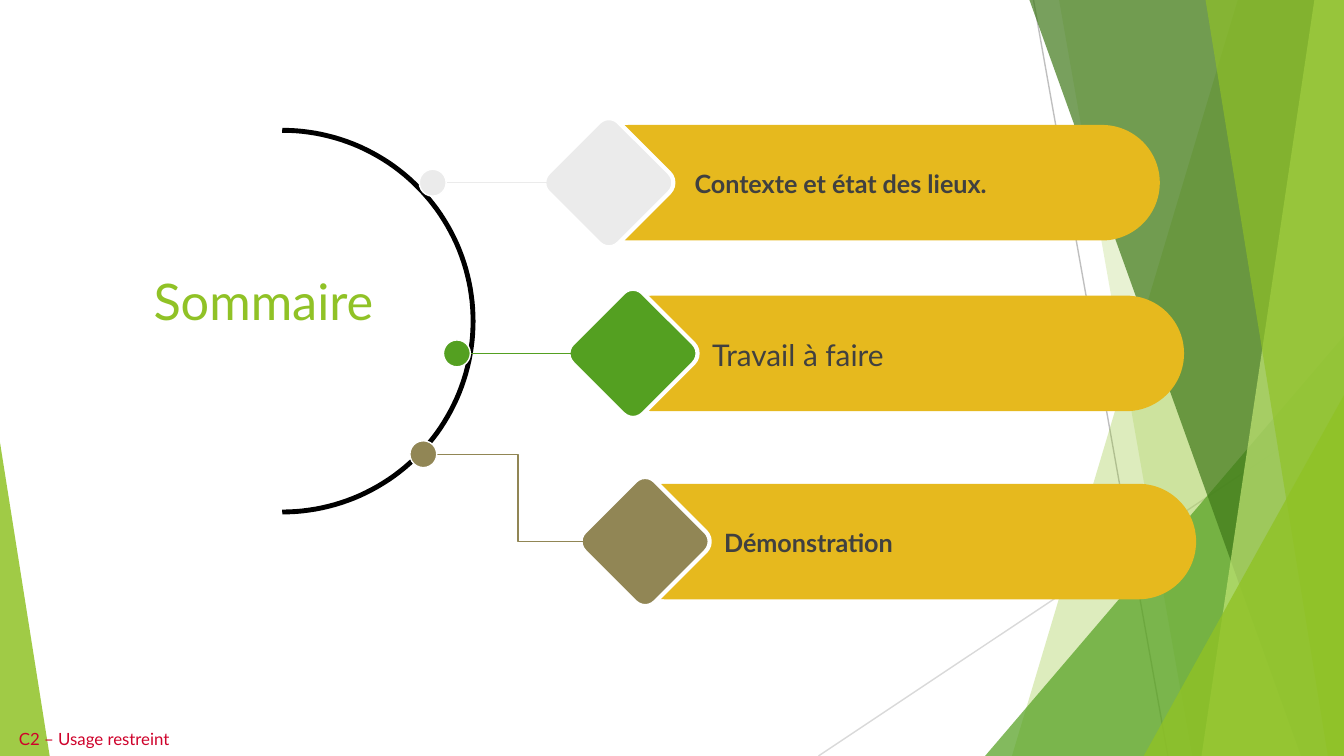
from dataclasses import dataclass
from math import cos, pi, sin
from typing import Optional

from lxml.etree import SubElement
from pptx import Presentation
from pptx.dml.color import RGBColor
from pptx.enum.shapes import MSO_CONNECTOR as Link, MSO_SHAPE as Preset
from pptx.enum.text import MSO_ANCHOR as Anchor, PP_ALIGN as Align
from pptx.oxml.ns import qn
from pptx.util import Inches, Pt

WIDTH = 10
HEIGHT = WIDTH * 9 / 16


@dataclass(frozen=True)
class Theme:
    font: str = "Lato"
    lime: str = "90C226"
    pale_lime: str = "C0E474"
    green: str = "54A021"
    dark_green: str = "3F7819"
    gold: str = "E6B91E"
    olive: str = "918655"
    light: str = "EBEBEB"
    white: str = "FFFFFF"
    black: str = "000000"
    gray: str = "BFBFBF"
    pale_gray: str = "D9D9D9"
    text: str = "404040"
    red: str = "CF022B"
    title_size: float = 27
    label_size: float = 13.5
    large_label_size: float = 16
    footer_size: float = 9


THEME = Theme()


@dataclass(frozen=True)
class Shard:
    """Band from a slanted left edge to the right side of the slide."""
    top_left: float
    bottom_left: float
    color: str
    opacity: int


@dataclass(frozen=True)
class Peak:
    """Right-angled triangle standing on the bottom of the slide."""
    left: float
    top: float
    width: float
    apex: int
    color: str
    opacity: int


@dataclass(frozen=True)
class Item:
    text: str
    color: str
    bar_left: float
    bar_top: float
    label_left: float
    dot_x: float
    dot_y: float
    size: float = THEME.label_size
    bold: bool = True


DECOR = [
    Shard(9.21, 7.53, THEME.lime, 30),
    Shard(7.88, 8.87, THEME.lime, 20),
    Peak(7.33, 2.5, 2.67, 1, THEME.green, 72),
    Shard(7.66, 9.68, THEME.dark_green, 70),
    Shard(9.78, 8.94, THEME.pale_lime, 70),
    Shard(8.97, 9.88, THEME.lime, 65),
    Peak(8.51, 2.94, 1.49, 1, THEME.lime, 80),
    Peak(0, 3.29, 0.37, 0, THEME.lime, 85),
]
ITEMS = [
    Item("Contexte et état des lieux.", THEME.light, 4.26, 0.93, 5.07, 3.22, 1.36),
    Item("Travail à faire", THEME.green, 4.44, 2.2, 5.2, 3.4, 2.63,
         size=THEME.large_label_size, bold=False),
    Item("Démonstration", THEME.olive, 4.53, 3.6, 5.29, 3.15, 3.38),
]


def paint(shape, fill: Optional[str] = None, line: Optional[str] = None,
          weight: float = 0.75, opacity: int = 100) -> None:
    shape.shadow.inherit = False
    if fill:
        shape.fill.solid()
        shape.fill.fore_color.rgb = RGBColor.from_string(fill)
        if opacity < 100:
            color = next(shape._element.spPr.iter(qn("a:srgbClr")))
            SubElement(color, qn("a:alpha")).set("val", str(opacity * 1000))
    else:
        shape.fill.background()
    if line:
        shape.line.color.rgb = RGBColor.from_string(line)
        shape.line.width = Pt(weight)
    else:
        shape.line.fill.background()


def add_preset(page, preset, left: float, top: float, width: float, height: float,
               adjust: Optional[float] = None, **look):
    shape = page.shapes.add_shape(preset, *map(Inches, (left, top, width, height)))
    if adjust is not None:
        shape.adjustments[0] = adjust
    paint(shape, **look)
    return shape


def add_outline(page, points: list, close: bool, **look) -> None:
    first, *rest = [(Inches(x), Inches(y)) for x, y in points]
    builder = page.shapes.build_freeform(*first)
    builder.add_line_segments(rest, close=close)
    paint(builder.convert_to_shape(), **look)


def add_link(page, kind, start: tuple, end: tuple, color: str):
    link = page.shapes.add_connector(kind, *map(Inches, (*start, *end)))
    link.line.color.rgb = RGBColor.from_string(color)
    link.line.width = Pt(0.75)
    SubElement(link._element.spPr, qn("a:effectLst"))
    return link


def write(box, text: str, *, size: float, color: str, bold: bool = False,
          align=Align.LEFT, inset: float = 0.1) -> None:
    frame = box.text_frame
    frame.word_wrap = True
    frame.vertical_anchor = Anchor.MIDDLE
    frame.margin_left = frame.margin_right = Inches(inset)
    frame.margin_top = frame.margin_bottom = 0
    para = frame.paragraphs[0]
    para.alignment = align
    span = para.add_run()
    span.text = text
    span.font.name = THEME.font
    span.font.size = Pt(size)
    span.font.bold = bold
    span.font.color.rgb = RGBColor.from_string(color)


def add_text(page, left: float, top: float, width: float, height: float,
             text: str, **style) -> None:
    box = page.shapes.add_textbox(*map(Inches, (left, top, width, height)))
    write(box, text, **style)


def draw_decor(page) -> None:
    add_link(page, Link.STRAIGHT, (7.69, 0), (8.69, HEIGHT), THEME.gray)
    add_link(page, Link.STRAIGHT, (WIDTH, 3.02), (6.09, HEIGHT), THEME.pale_gray)
    for part in DECOR:
        look = dict(fill=part.color, opacity=part.opacity)
        if isinstance(part, Shard):
            corners = [(part.top_left, 0), (WIDTH, 0), (WIDTH, HEIGHT),
                       (part.bottom_left, HEIGHT)]
            add_outline(page, corners, True, **look)
        else:
            add_preset(page, Preset.ISOSCELES_TRIANGLE, part.left, part.top,
                       part.width, HEIGHT - part.top, part.apex, **look)


def draw_half_circle(page, x: float, y: float, radius: float, steps: int = 90) -> None:
    angles = [pi * step / steps - pi / 2 for step in range(steps + 1)]
    points = [(x + radius * cos(angle), y + radius * sin(angle)) for angle in angles]
    add_outline(page, points, False, line=THEME.black, weight=2.61)


def draw_item(page, item: Item) -> None:
    bar_height, side, dot = 0.86, 0.74, 0.2
    x, y = item.bar_left + 0.27, item.bar_top + bar_height / 2
    # Bar and label
    add_preset(page, Preset.ROUNDED_RECTANGLE, item.bar_left, item.bar_top,
               4.37, bar_height, 0.5, fill=THEME.gold)
    add_text(page, item.label_left, y - 0.13, 3.33, 0.27, item.text,
             size=item.size, color=THEME.text, bold=item.bold)
    # Diamond: a rounded square on its corner
    diamond = add_preset(page, Preset.ROUNDED_RECTANGLE, x - side / 2, y - side / 2,
                         side, side, 0.14, fill=item.color, line=THEME.white, weight=2.25)
    diamond.rotation = 45
    # Link from the half circle, with an elbow when the heights differ
    level = abs(y - item.dot_y) < 0.05
    link = add_link(page, Link.STRAIGHT if level else Link.ELBOW,
                    (item.dot_x, item.dot_y),
                    (x - 0.45, item.dot_y if level else y), item.color)
    if not level:
        guides = link._element.spPr.find(qn("a:prstGeom")).get_or_add_avLst()
        SubElement(guides, qn("a:gd"), name="adj1", fmla="val 58700")
    add_preset(page, Preset.OVAL, item.dot_x - dot / 2, item.dot_y - dot / 2,
               dot, dot, fill=item.color, line=THEME.white)


def main() -> None:
    deck = Presentation()
    deck.slide_width, deck.slide_height = Inches(WIDTH), Inches(HEIGHT)
    page = deck.slides.add_slide(deck.slide_layouts[5])

    # Background and footer
    draw_decor(page)
    add_text(page, 0, 5.36, 1.43, 0.27, "C2 – Usage restreint",
             size=THEME.footer_size, color=THEME.red, inset=0.14)

    # Title
    title = page.shapes.title
    title.left, title.top, title.width, title.height = map(Inches, (0.49, 1.6, 2.94, 1.27))
    write(title, "Sommaire", size=THEME.title_size, color=THEME.lime, align=Align.CENTER)

    # Agenda
    draw_half_circle(page, 2.1, 2.39, 1.42)
    for item in ITEMS:
        draw_item(page, item)

    deck.save("out.pptx")


if __name__ == "__main__":
    main()
